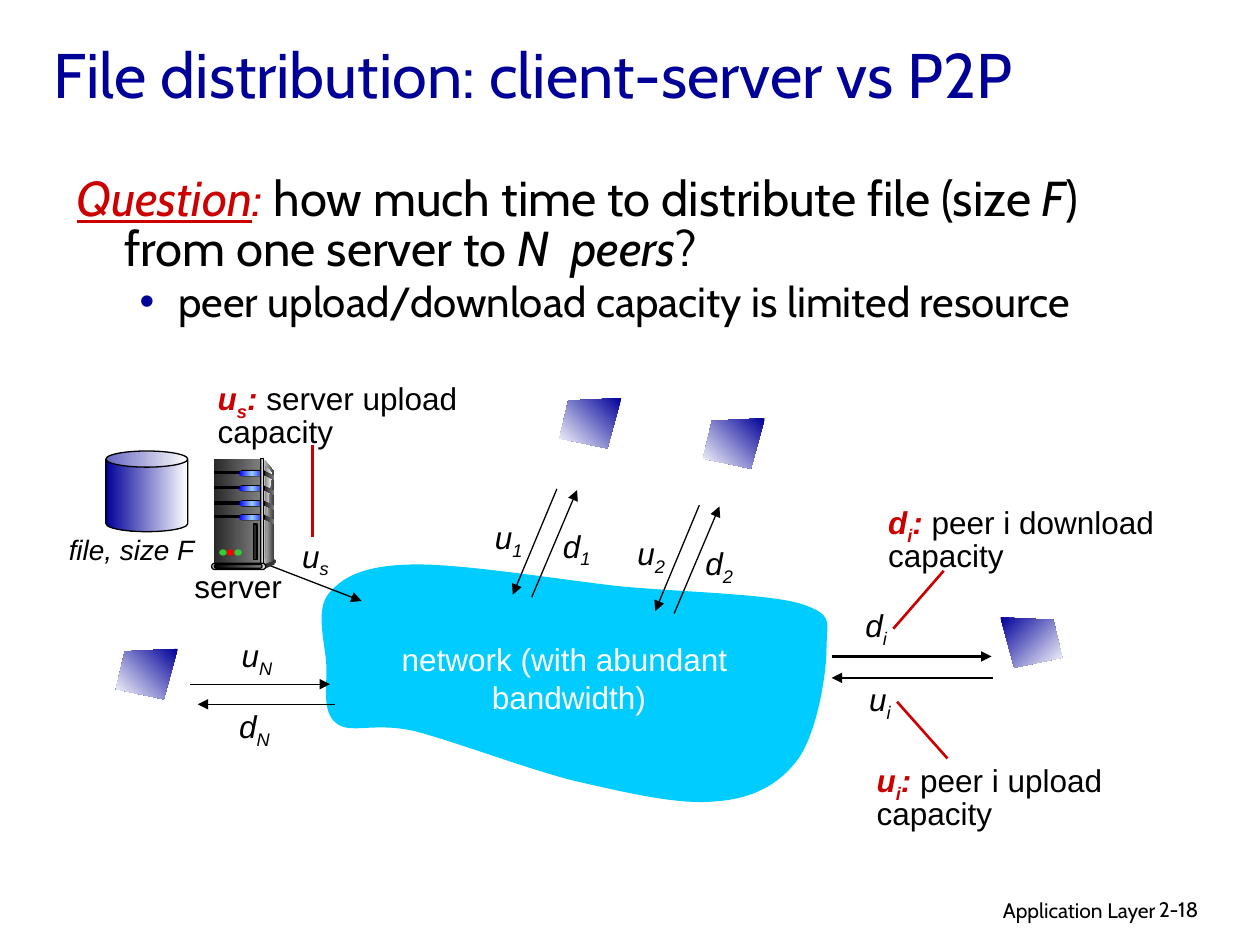
from dataclasses import dataclass

import pptx
import pptx.dml.color
import pptx.enum.shapes
import pptx.enum.text
import pptx.oxml
import pptx.oxml.ns
import pptx.util

RGB = pptx.dml.color.RGBColor
KIND = pptx.enum.shapes.MSO_SHAPE
ALIGN = pptx.enum.text.PP_ALIGN
qn = pptx.oxml.ns.qn
NS = 'xmlns:a="http://schemas.openxmlformats.org/drawingml/2006/main"'
PX = 9144  # 100 px to the inch

NAVY = RGB(0x00, 0x00, 0x99)
RED = RGB(0xCC, 0x00, 0x00)
BLACK = RGB(0x00, 0x00, 0x00)
WHITE = RGB(0xFF, 0xFF, 0xFF)
CYAN = RGB(0x00, 0xCC, 0xFF)
COAL = RGB(0x29, 0x29, 0x29)
DARK = RGB(0x33, 0x33, 0x33)
GRAY = RGB(0x80, 0x80, 0x80)
PALE = RGB(0xDD, 0xDD, 0xDD)
SNOW = RGB(0xF8, 0xF8, 0xF8)
BLUE = RGB(0x00, 0x00, 0xFF)
SKY = RGB(0x99, 0xCC, 0xFF)
LAMP = RGB(0x33, 0xCC, 0x33)
ALERT = RGB(0xFF, 0x00, 0x00)


@dataclass
class Run:
    text: str
    color: RGB | None = None
    bold: bool | None = None
    slant: bool | None = None
    under: bool | None = None
    sub: bool = False


@dataclass
class Para:
    runs: list[Run]
    size: int = 18
    color: RGB = BLACK
    face: str = "Arial"
    slant: bool | None = None
    align: ALIGN | None = None
    lead: float | None = None
    before: int = 0
    left: int = 0
    hang: int = 0
    dot: bool = False


@dataclass
class Fade:
    stops: list[RGB]
    angle: int = 0


@dataclass
class Link:
    start: tuple[int, int]
    end: tuple[int, int]
    width: float = 0.75
    color: RGB = BLACK
    arrow: bool = True


def add_text(shapes, box: tuple, paras: list[Para], wrap: bool = True, middle: bool = False):
    frame = shapes.add_textbox(*(v * PX for v in box)).text_frame
    frame.word_wrap = wrap
    if not wrap:
        frame.auto_size = pptx.enum.text.MSO_AUTO_SIZE.SHAPE_TO_FIT_TEXT
    if middle:
        frame.vertical_anchor = pptx.enum.text.MSO_ANCHOR.MIDDLE
    for i, item in enumerate(paras):
        para = frame.add_paragraph() if i else frame.paragraphs[0]
        props = para._p.get_or_add_pPr()
        if item.hang:
            props.set("marL", str(item.left * PX))
            props.set("indent", str(-item.hang * PX))
        if item.dot:
            for xml in (f'<a:buClr {NS}><a:srgbClr val="{NAVY}"/></a:buClr>',
                        f'<a:buFont {NS} typeface="Arial"/>',
                        f'<a:buChar {NS} char="•"/>'):
                props.append(pptx.oxml.parse_xml(xml))
        para.alignment = item.align
        if item.lead:
            para.line_spacing = item.lead
        if item.before:
            para.space_before = pptx.util.Pt(item.before)
        font = para.font
        font.name, font.size, font.italic = item.face, pptx.util.Pt(item.size), item.slant
        font.color.rgb = item.color
        for part in item.runs:
            run = para.add_run()
            run.text = part.text
            run.font.bold, run.font.italic, run.font.underline = part.bold, part.slant, part.under
            if part.color is not None:
                run.font.color.rgb = part.color
            if part.sub:
                run._r.get_or_add_rPr().set("baseline", "-25000")


def paint(shape, fill: RGB | Fade, edge: bool = False):
    shape.shadow.inherit = False
    if isinstance(fill, Fade):
        shape.fill.gradient()
        shape.fill.gradient_angle = -fill.angle % 360
        stops = shape._element.spPr.find(".//" + qn("a:gsLst"))
        for stop in list(stops):
            stops.remove(stop)
        for i, color in enumerate(fill.stops):
            pos = 100000 * i // (len(fill.stops) - 1)
            stops.append(pptx.oxml.parse_xml(
                f'<a:gs {NS} pos="{pos}"><a:srgbClr val="{color}"/></a:gs>'))
    else:
        shape.fill.solid()
        shape.fill.fore_color.rgb = fill
    if edge:
        shape.line.color.rgb = BLACK
        shape.line.width = pptx.util.Pt(0.75)
    else:
        shape.line.fill.background()


def add_form(shapes, kind: KIND, box: tuple, fill: RGB | Fade, edge: bool = False,
             bend: float | None = None):
    shape = shapes.add_shape(kind, *(v * PX for v in box))
    if bend is not None:
        shape.adjustments[0] = bend
    paint(shape, fill, edge)


def add_poly(shapes, points: list, fill: RGB | Fade, curved: bool = False):
    """Draw a closed outline; if curved, each three points after the first make a cubic."""
    pen = shapes.build_freeform(*points[0], scale=PX)
    pen.add_line_segments(points[1:], close=True)
    shape = pen.convert_to_shape()
    if curved:
        track = shape._element.spPr.find(".//" + qn("a:path"))
        steps = track.findall(qn("a:lnTo"))
        for k in range(0, len(points) - 1, 3):
            curve = pptx.oxml.parse_xml(f"<a:cubicBezTo {NS}/>")
            steps[k].addprevious(curve)
            for step in steps[k:k + 3]:
                curve.append(step[0])
                track.remove(step)
    paint(shape, fill)


def add_link(shapes, link: Link):
    line = shapes.add_connector(pptx.enum.shapes.MSO_CONNECTOR.STRAIGHT,
                                *(v * PX for v in link.start + link.end))
    line.line.color.rgb = link.color
    line.line.width = pptx.util.Pt(link.width)
    props = line._element.spPr
    if link.arrow:
        props.find(qn("a:ln")).append(pptx.oxml.parse_xml(f'<a:tailEnd {NS} type="triangle"/>'))
    props.append(pptx.oxml.parse_xml(f"<a:effectLst {NS}/>"))


def add_rate(shapes, x: int, y: int, name: str, sub: str):
    add_text(shapes, (x, y, 67, 40), [Para([Run(name), Run(sub, sub=True)], slant=True)])


def add_note(shapes, box: tuple, name: str, sub: str, text: str):
    mark = dict(color=RED, bold=True, slant=True)
    add_text(shapes, box, [Para([Run(name, **mark), Run(sub, sub=True, **mark),
                                 Run(":", **mark), Run(text)], lead=0.85)])


def add_peer(shapes, x: int, y: int, flip: bool = False):
    shape = [(0, 0), (42, 2), (49, 32), (11, 40)]
    add_poly(shapes, [(x + (dx if flip else 49 - dx), y + dy) for dx, dy in shape],
             Fade([NAVY, WHITE], 45 if flip else 135))


def add_server(shapes):
    rect, pill, disc = KIND.RECTANGLE, KIND.ROUNDED_RECTANGLE, KIND.OVAL
    # Case
    add_poly(shapes, [(210, 365), (218, 375), (218, 445), (208, 448)], Fade([PALE, DARK]))
    add_form(shapes, rect, (170, 364, 37, 84), Fade([COAL, GRAY]))
    add_poly(shapes, [(210, 370), (210, 370), (212, 370), (216, 376),
                      (210, 407), (211, 447), (210, 446)], Fade([GRAY, SNOW]), True)
    # Drive bays with side slots
    for y in (374, 386, 398, 409):
        add_form(shapes, rect, (170, y, 21, 2), BLACK, True)
        add_form(shapes, pill, (190, y - 1, 21, 5), BLACK, bend=0.5)
        add_form(shapes, pill, (190, y, 20, 4), Fade([BLUE, SKY, BLUE]), bend=0.5)
        add_poly(shapes, [(210, y), (218, y + 4), (218, y + 7), (210, y + 3)], Fade([COAL, GRAY]))
    add_form(shapes, rect, (207, 364, 2, 84), Fade([DARK, PALE, DARK]), True)
    # Foot
    add_form(shapes, disc, (217, 444, 2, 3), DARK)
    add_poly(shapes, [(209, 448), (209, 452), (218, 448), (218, 445)], DARK)
    add_form(shapes, pill, (168, 447, 43, 5), PALE, True, 0.5)
    add_form(shapes, pill, (170, 448, 38, 3), Fade([BLACK, GRAY]), True, 0.5)
    # Lamps and vent
    for i, color in enumerate((LAMP, ALERT, LAMP)):
        add_form(shapes, disc, (174 + 6 * i, 436, 6, 5), color)
    add_form(shapes, rect, (201, 416, 3, 28), COAL, True)


def main():
    deck = pptx.Presentation()
    deck.slide_width, deck.slide_height = 1000 * PX, 750 * PX
    shapes = deck.slides.add_slide(deck.slide_layouts[6]).shapes

    # Footer, title and question
    add_text(shapes, (610, 707, 317, 31),
             [Para([Run("Application Layer")], 12, face="Cabin", align=ALIGN.RIGHT)])
    add_text(shapes, (910, 707, 74, 30), [Para([Run("2-18")], 12, face="Cabin")])
    add_text(shapes, (33, 16, 932, 85), [Para([Run("File distribution: client-server vs P2P")],
                                              36, NAVY, "Cabin")], middle=True)
    ask = [Run("Question", RED, slant=True, under=True), Run(":", RED, slant=True),
           Run(" how much time to distribute file (size "), Run("F", slant=True),
           Run(") from one server to "), Run("N  peers", slant=True), Run("?")]
    add_text(shapes, (51, 135, 903, 97), [
        Para(ask, 28, face="Cabin", lead=0.85, left=38, hang=38),
        Para([Run("peer upload/download capacity is limited resource")], 24, face="Cabin",
             lead=0.85, before=4, left=81, hang=31, dot=True)])

    # Network cloud
    add_poly(shapes, [
        (326, 448), (288, 449), (272, 458), (261, 471), (250, 484), (258, 510), (259, 527),
        (260, 544), (255, 565), (267, 574), (278, 583), (296, 573), (328, 580),
        (360, 588), (417, 610), (457, 620), (497, 629), (538, 639), (568, 636),
        (597, 634), (618, 623), (633, 603), (648, 583), (656, 536), (656, 515),
        (656, 494), (663, 488), (635, 479), (607, 471), (540, 470), (489, 465),
        (438, 459), (364, 447), (326, 448)], CYAN, True)
    add_text(shapes, (304, 503, 288, 70), [
        Para([Run(text)], color=WHITE, align=ALIGN.CENTER)
        for text in ("network (with abundant", " bandwidth)")], wrap=False)

    # Links and red pointers
    links = [Link((199, 443), (287, 477)), Link((151, 543), (262, 543)),
             Link((266, 559), (157, 559)), Link((660, 521), (787, 521), 1.5),
             Link((788, 538), (660, 538), 1.5)]
    for dx, dy in ((0, 0), (113, 13)):
        links += [Link((442 + dx, 388 + dy), (407 + dx, 472 + dy)),
                  Link((422 + dx, 474 + dy), (458 + dx, 389 + dy))]
    links += [Link(start, end, 1.5, RED, False) for start, end in (
        ((248, 353), (248, 426)), ((749, 453), (709, 499)), ((752, 602), (712, 557)))]
    for link in links:
        add_link(shapes, link)

    # Rates and notes
    for rate in ((230, 421, "u", "s"), (182, 500, "u", "N"), (180, 556, "d", "N"),
                 (383, 406, "u", "1"), (437, 413, "d", "1"), (496, 419, "u", "2"),
                 (550, 427, "d", "2"), (677, 476, "d", "i"), (680, 535, "u", "i")):
        add_rate(shapes, *rate)
    add_note(shapes, (163, 298, 220, 61), "u", "s", " server upload capacity")
    add_note(shapes, (686, 601, 283, 62), "u", "i", " peer i upload capacity")
    add_note(shapes, (695, 396, 232, 61), "d", "i", " peer i download capacity")

    # File, server and peers
    add_form(shapes, KIND.CAN, (84, 358, 65, 64), Fade([NAVY, WHITE]), True, 0.2)
    add_text(shapes, (28, 418, 153, 37),
             [Para([Run("file, size F")], 16, slant=True, align=ALIGN.CENTER)])
    add_text(shapes, (125, 445, 128, 40), [Para([Run("server")], align=ALIGN.CENTER)])
    add_server(shapes)
    for x, y in ((92, 515), (444, 316), (558, 332)):
        add_peer(shapes, x, y)
    add_peer(shapes, 794, 490, flip=True)

    deck.save("out.pptx")


if __name__ == "__main__":
    main()
